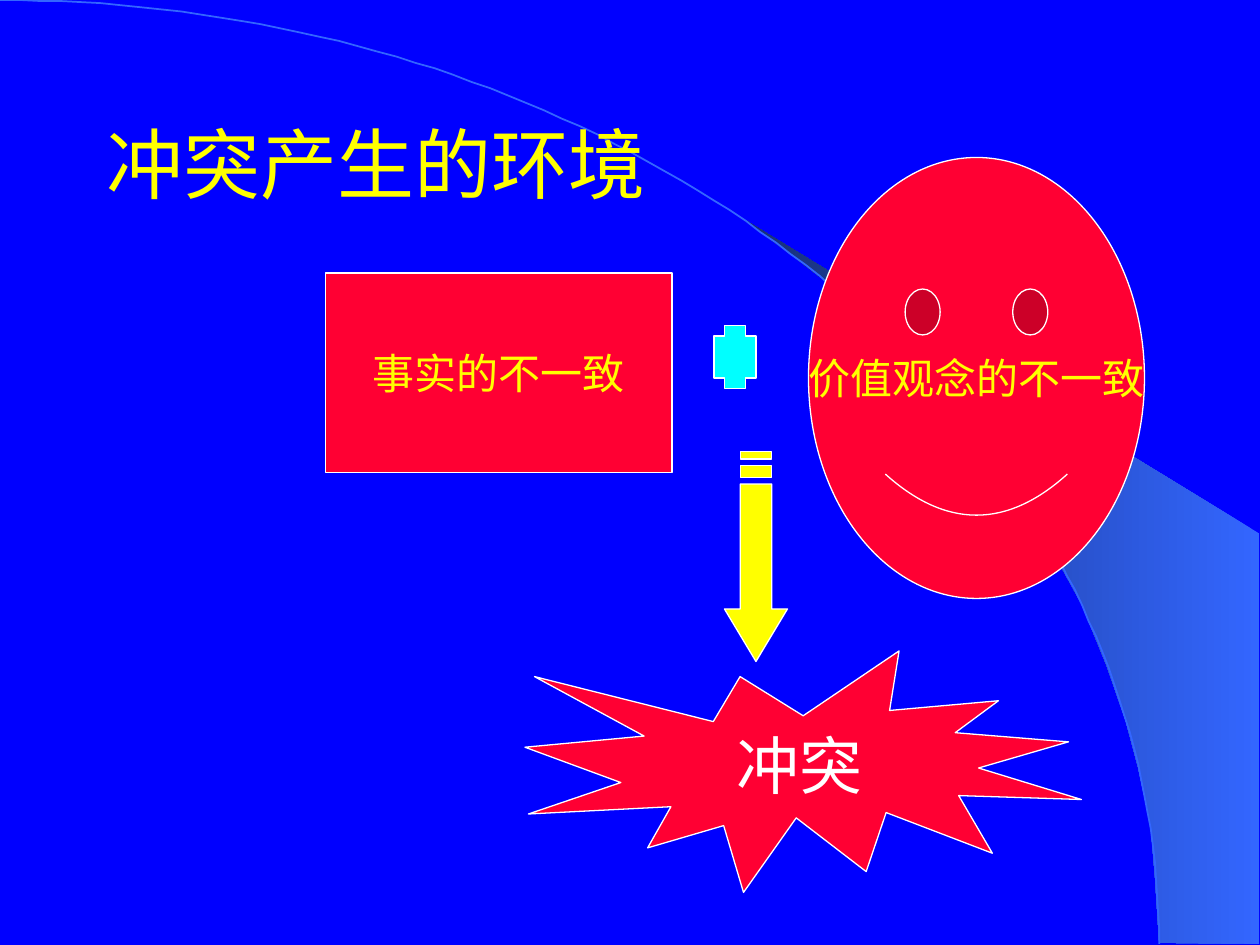
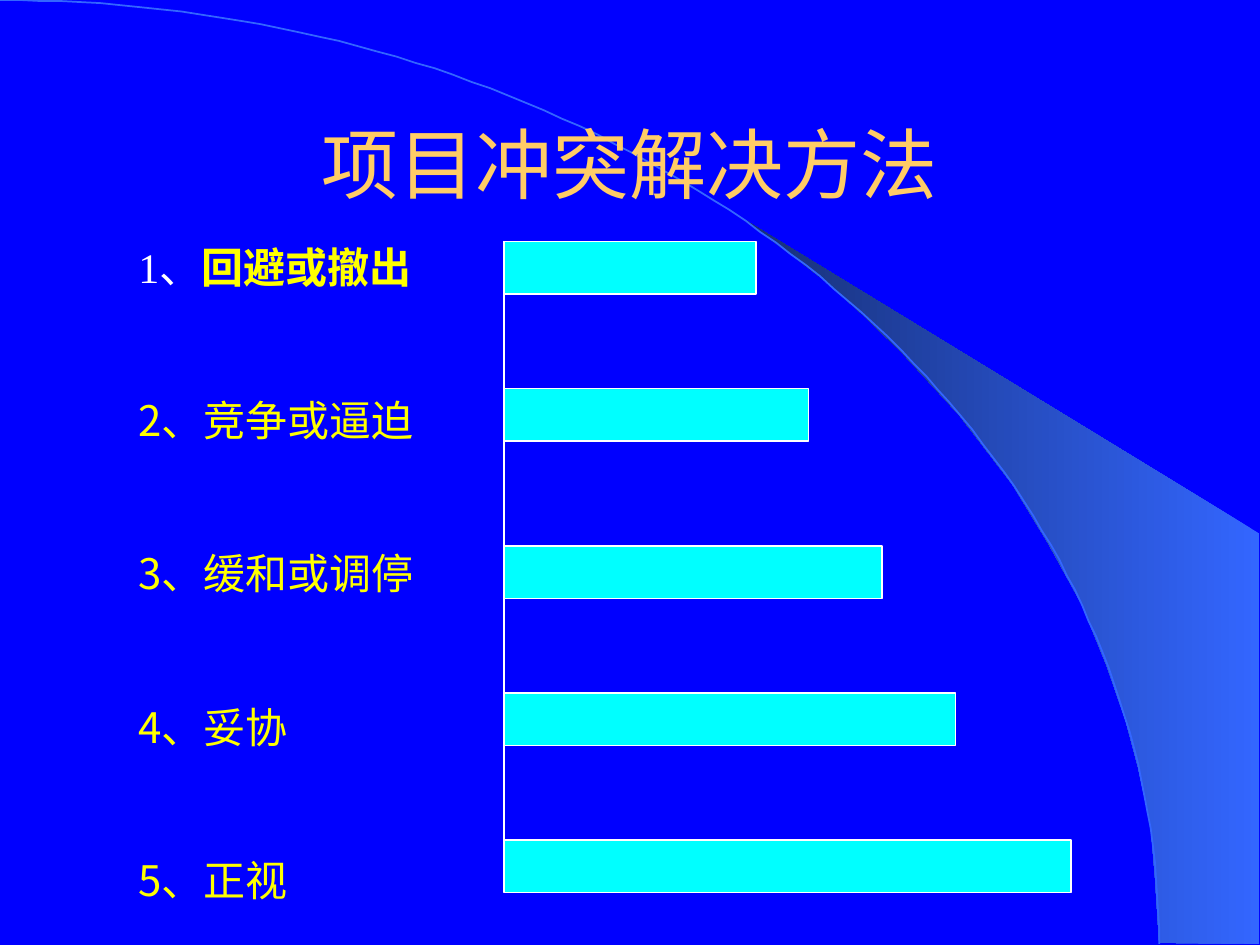
"""Build two slides on project conflict: where it arises and how it is resolved."""
from dataclasses import dataclass
from math import cos, pi, sin

from lxml.etree import SubElement
from pptx import Presentation
from pptx.dml.color import RGBColor as RGB
from pptx.enum.shapes import MSO_CONNECTOR as CONN, MSO_SHAPE as SHAPE
from pptx.enum.text import MSO_ANCHOR as ANCHOR, PP_ALIGN as ALIGN
from pptx.oxml.ns import qn
from pptx.util import Pt

PX = 7620


@dataclass(frozen=True)
class Theme:
    """Colours, fonts and type sizes of the deck."""
    back: RGB = RGB(0x00, 0x00, 0xFF)
    sweep: RGB = RGB(0x33, 0x66, 0xFF)
    shade: RGB = RGB(0x17, 0x2F, 0x75)
    red: RGB = RGB(0xFF, 0x00, 0x33)
    cyan: RGB = RGB(0x00, 0xFF, 0xFF)
    yellow: RGB = RGB(0xFF, 0xFF, 0x00)
    gold: RGB = RGB(0xFF, 0xCC, 0x66)
    white: RGB = RGB(0xFF, 0xFF, 0xFF)
    title_font: str = "Arial"
    body_font: str = "Times New Roman"
    cjk_font: str = "Noto Sans CJK SC"
    title_size: Pt = Pt(44)
    result_size: Pt = Pt(36)
    body_size: Pt = Pt(24)
    hairline: Pt = Pt(0.75)
    arc_line: Pt = Pt(1)


T = Theme()
WEDGE = [(1104, 898), (1199, 899), (1199, 508), (707, 208), (749, 239), (784, 266),
         (822, 300), (859, 336), (914, 396), (964, 461), (998, 517), (1030, 575),
         (1054, 634), (1072, 686), (1084, 731), (1096, 787), (1100, 835)]
ARC_RX, ARC_RY, ARC_STEPS = 1104, 899, 90
METHODS = [("1、", "回避或撤出", 230, 240), ("2、", "竞争或逼迫", 370, 290),
           ("3、", "缓和或调停", 520, 360), ("4、", "妥协", 660, 430),
           ("5、", "正视", 800, 540)]


def apply(obj, fmt):
    """Set each attribute named in fmt on obj."""
    for name, value in fmt.items():
        setattr(obj, name, value)


def paint(sp, fill=None, line=T.white, width=T.hairline):
    """Give a shape a flat fill and line, without a shadow."""
    sp.shadow.inherit = False
    for part, color in ((sp.fill, fill), (sp.line.fill, line)):
        if color is None:
            part.background()
        else:
            part.solid()
            part.fore_color.rgb = color
    if line is not None:
        sp.line.width = width


def add_run(p, text, color, size=T.body_size, font=T.body_font, bold=False):
    """Append a run in the given Latin font and the shared Chinese font."""
    r = p.add_run()
    r.text = text
    apply(r.font, {"name": font, "size": size, "bold": bold})
    r.font.color.rgb = color
    SubElement(r.font._element, qn("a:ea"), typeface=T.cjk_font)


def set_frame(tf, **fmt):
    """Set the insets and the given format values of a text frame."""
    apply(tf, {"margin_left": 12 * PX, "margin_right": 12 * PX,
               "margin_top": 6 * PX, "margin_bottom": 6 * PX, **fmt})


def add_box(s, x, y, w, h, **fmt):
    """Add a wrapping text box and return its text frame."""
    tf = s.shapes.add_textbox(x * PX, y * PX, w * PX, h * PX).text_frame
    set_frame(tf, word_wrap=True, **fmt)
    return tf


def add_block(s, kind, x, y, w, h, fill, text="", color=T.yellow, size=T.body_size):
    """Add a preset shape with an optional centred label."""
    sp = s.shapes.add_shape(kind, x * PX, y * PX, w * PX, h * PX)
    paint(sp, fill)
    if text:
        tf = sp.text_frame
        set_frame(tf, word_wrap=False, vertical_anchor=ANCHOR.MIDDLE)
        p = tf.paragraphs[0]
        p.alignment = ALIGN.CENTER
        add_run(p, text, color, size)


def add_outline(s, *contours, close=True):
    """Add one freeform made of the given lists of points."""
    fb = s.shapes.build_freeform(*contours[0][0], scale=PX)
    for i, points in enumerate(contours):
        if i:
            fb.move_to(*points[0])
        fb.add_line_segments(points[1:], close=close)
    return fb.convert_to_shape()


def add_line(s, x1, y1, x2, y2):
    """Add a thin white line."""
    cn = s.shapes.add_connector(CONN.STRAIGHT, x1 * PX, y1 * PX, x2 * PX, y2 * PX)
    cn.line.color.rgb = T.white
    cn.line.width = T.hairline
    SubElement(cn._element.spPr, qn("a:effectLst"))


def add_backdrop(s):
    """Draw the shaded wedge and the arc on a blue background."""
    s.background.fill.solid()
    s.background.fill.fore_color.rgb = T.back
    wedge = add_outline(s, WEDGE)
    paint(wedge, line=None)
    wedge.fill.gradient()
    wedge.fill.gradient_angle = 180
    for stop, color in zip(wedge.fill.gradient_stops, (T.sweep, T.shade)):
        stop.color.rgb = color
    angles = [pi / 2 * i / ARC_STEPS for i in range(ARC_STEPS + 1)]
    arc = [(ARC_RX * sin(a), ARC_RY * (1 - cos(a))) for a in angles]
    paint(add_outline(s, arc, close=False), line=T.sweep, width=T.arc_line)


def add_slide(prs, title, color, align):
    """Add a slide with the shared backdrop and a title."""
    s = prs.slides.add_slide(prs.slide_layouts[6])
    add_backdrop(s)
    p = add_box(s, 90, 80, 1020, 150, vertical_anchor=ANCHOR.MIDDLE).paragraphs[0]
    p.alignment = align
    add_run(p, title, color, T.title_size, T.title_font)
    return s


def add_striped_arrow(s, cx, top):
    """Add a downward arrow with two stripes above its shaft."""
    left, right = cx - 15, cx + 15
    stripes = [[(right, top + a), (right, top + b), (left, top + b), (left, top + a)]
               for a, b in ((0, 7), (13, 25))]
    shaft, head = top + 31, top + 150
    arrow = [(right, shaft), (right, head), (cx + 30, head), (cx, top + 200),
             (cx - 30, head), (left, head), (left, shaft)]
    paint(add_outline(s, arrow, *stripes), T.yellow)


def add_methods(s, x, y, w, h):
    """List the numbered methods at an even pitch."""
    tf = add_box(s, x, y, w, h)
    for i, (number, method, _, _) in enumerate(METHODS):
        p = tf.paragraphs[0] if i == 0 else tf.add_paragraph()
        p.line_spacing = Pt(31)
        if i:
            p.space_before = Pt(56.6)
            add_run(p, number + method, T.yellow, font=T.cjk_font)
        else:
            add_run(p, number, T.white)
            add_run(p, method, T.yellow, font=T.cjk_font, bold=True)


def build_causes(prs):
    """Build the slide on where conflict comes from."""
    s = add_slide(prs, "冲突产生的环境", T.yellow, ALIGN.LEFT)
    add_block(s, SHAPE.SMILEY_FACE, 770, 150, 320, 420, T.red, "价值观念的不一致")
    add_block(s, SHAPE.EXPLOSION1, 500, 620, 530, 230, T.red, "冲突", T.white, T.result_size)
    add_block(s, SHAPE.RECTANGLE, 310, 260, 330, 190, T.red, "事实的不一致")
    add_block(s, SHAPE.CROSS, 680, 310, 40, 60, T.cyan)
    add_striped_arrow(s, 720, 430)


def build_methods(prs):
    """Build the slide that ranks the ways to resolve conflict."""
    s = add_slide(prs, "项目冲突解决方法", T.gold, ALIGN.CENTER)
    add_methods(s, 120, 220, 310, 644)
    add_line(s, 480, 230, 480, 830)
    for _, _, top, length in METHODS:
        add_block(s, SHAPE.RECTANGLE, 480, top, length, 50, T.cyan)


def main():
    """Build and save the deck."""
    prs = Presentation()
    apply(prs, {"slide_width": 1200 * PX, "slide_height": 900 * PX})
    build_causes(prs)
    build_methods(prs)
    prs.save("out.pptx")


if __name__ == "__main__":
    main()
